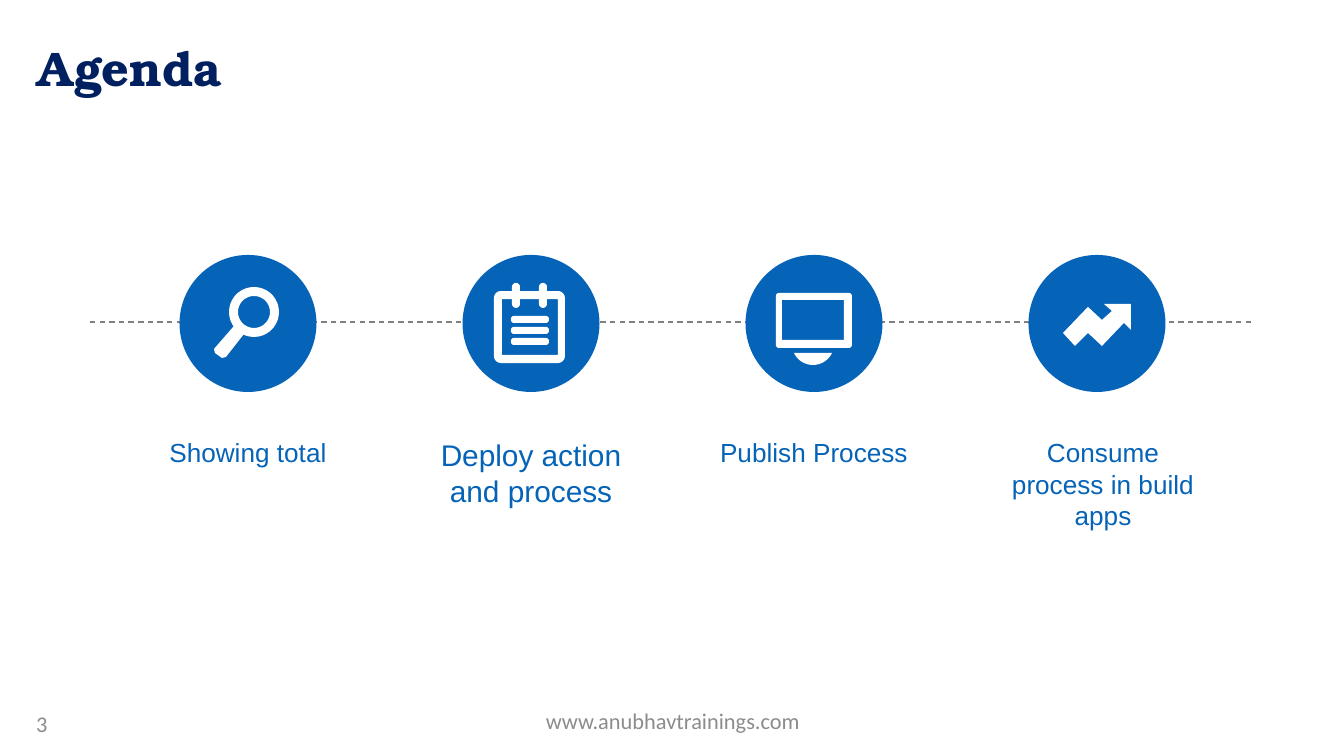
from math import cos, radians, sin

from lxml import etree
from pptx import Presentation
from pptx import util as u
from pptx.dml.color import RGBColor
from pptx.enum import dml, shapes, text
from pptx.oxml import ns

PX = 914400 / 134.4
BLUE = RGBColor(0x05, 0x63, 0xB8)
NAVY = RGBColor(0x00, 0x20, 0x60)
GRAY = RGBColor(0x80, 0x80, 0x80)
FOOTER_GRAY = RGBColor(0x8C, 0x8C, 0x8C)
WHITE = RGBColor(0xFF, 0xFF, 0xFF)


def px(n):
    return u.Emu(round(n * PX))


def arc(cx, cy, r, start=0, end=360, steps=36):
    angles = [radians(start + (end - start) * i / steps) for i in range(steps + 1)]
    return [(cx + r * cos(a), cy + r * sin(a)) for a in angles]


def rounded(x, y, w, h, r):
    corners = [(x + w - r, y + h - r, 0), (x + r, y + h - r, 90),
               (x + r, y + r, 180), (x + w - r, y + r, 270)]
    return [point for cx, cy, a in corners for point in arc(cx, cy, r, a, a + 90, 5)]


def rectangle(x, y, w, h):
    return [(x, y), (x, y + h), (x + w, y + h), (x + w, y)]


# Content: label, font size, label height, sideways nudge of the label
STEPS = [
    ("Showing total", 14, 46, 0),
    ("Deploy action and process", 16, 86, 0),
    ("Publish Process", 14, 46, 0),
    ("Consume process in build apps", 14, 109, 6),
]
FIRST_CENTER, PITCH = 248, 283
CIRCLE_TOP, CIRCLE_SIZE = 255, 137
LABEL_TOP, LABEL_WIDTH = 430, 235

# Icons: each part is a list of contours, a second contour being a hole
MAGNIFIER = [
    [arc(254, 312, 25), arc(254, 312, 16)],
    [[(238, 324), (244, 330), (244, 334), (226, 357), (222, 358),
      (215, 353), (214, 349), (234, 326)]],
]
NOTEPAD = [
    [rounded(494, 291, 71, 72, 7), rectangle(502, 299, 56, 56)],
    *[[rounded(x, 283, 8, 25, 4)] for x in (512, 539)],
    *[[rounded(511, y, 38, 7, 3)] for y in (316, 327, 338)],
]
MONITOR = [
    [rounded(776, 293, 76, 55, 3), rectangle(782, 300, 62, 40)],
    [arc(813, 344, 21, 25, 155)],
]
TREND_ARROW = [
    [[(1104, 304), (1131, 304), (1131, 330), (1124, 323), (1102, 346), (1088, 333),
      (1075, 346), (1063, 333), (1088, 307), (1102, 320), (1112, 311)]],
]

deck = Presentation()
deck.slide_width, deck.slide_height = px(1344), px(756)
page = deck.slides.add_slide(deck.slide_layouts[6])


def paint(shape, color):
    shape.shadow.inherit = False
    shape.fill.solid()
    shape.fill.fore_color.rgb = color
    shape.line.fill.background()


def add_text(content, left, top, width, height, font, size, color,
             align=text.PP_ALIGN.LEFT, anchor=text.MSO_ANCHOR.TOP, bold=False):
    box = page.shapes.add_textbox(px(left), px(top), px(width), px(height))
    frame = box.text_frame
    frame.word_wrap = True
    frame.vertical_anchor = anchor
    para = frame.paragraphs[0]
    para.text = content
    para.alignment = align
    para.font.name, para.font.size, para.font.bold = font, u.Pt(size), bold
    para.font.color.rgb = color
    return frame


def add_outline(parent, contours):
    first, *holes = [[(px(x), px(y)) for x, y in contour] for contour in contours]
    builder = parent.build_freeform(*first[0], scale=1.0)
    builder.add_line_segments(first[1:], close=True)
    for hole in holes:
        builder.move_to(*hole[0])
        builder.add_line_segments(hole[1:], close=True)
    paint(builder.convert_to_shape(), WHITE)


# Dashed timeline
timeline = page.shapes.add_connector(
    shapes.MSO_CONNECTOR.STRAIGHT, px(90), px(322), px(1254), px(322))
timeline.line.color.rgb = GRAY
timeline.line.width = u.Pt(0.75)
timeline.line.dash_style = dml.MSO_LINE.DASH
etree.SubElement(timeline.element.spPr, ns.qn("a:effectLst"))

# Footer and title
add_text("www.anubhavtrainings.com", 460, 700, 426, 41, "Calibri", 12, FOOTER_GRAY,
         text.PP_ALIGN.CENTER, text.MSO_ANCHOR.MIDDLE)
add_text("3", 23, 703, 313, 41, "Calibri", 12, FOOTER_GRAY,
         anchor=text.MSO_ANCHOR.MIDDLE)
add_text("Agenda", 24, 31, 1210, 78, "TeX Gyre Bonum", 26, NAVY, bold=True)

# Circles and labels
circles = page.shapes.add_group_shape()
for index, (label, size, height, nudge) in enumerate(STEPS):
    center = FIRST_CENTER + index * PITCH
    circle = circles.shapes.add_shape(
        shapes.MSO_SHAPE.OVAL, px(center - CIRCLE_SIZE / 2), px(CIRCLE_TOP),
        px(CIRCLE_SIZE), px(CIRCLE_SIZE))
    paint(circle, BLUE)
    frame = add_text(label, center - LABEL_WIDTH / 2 + nudge, LABEL_TOP, LABEL_WIDTH,
                     height, "Arial", size, BLUE, text.PP_ALIGN.CENTER)
    frame.auto_size = text.MSO_AUTO_SIZE.SHAPE_TO_FIT_TEXT

# Icons
for icon in (MAGNIFIER, NOTEPAD, MONITOR, TREND_ARROW):
    parent = page.shapes.add_group_shape().shapes if len(icon) > 1 else page.shapes
    for contours in icon:
        add_outline(parent, contours)

deck.save("out.pptx")
